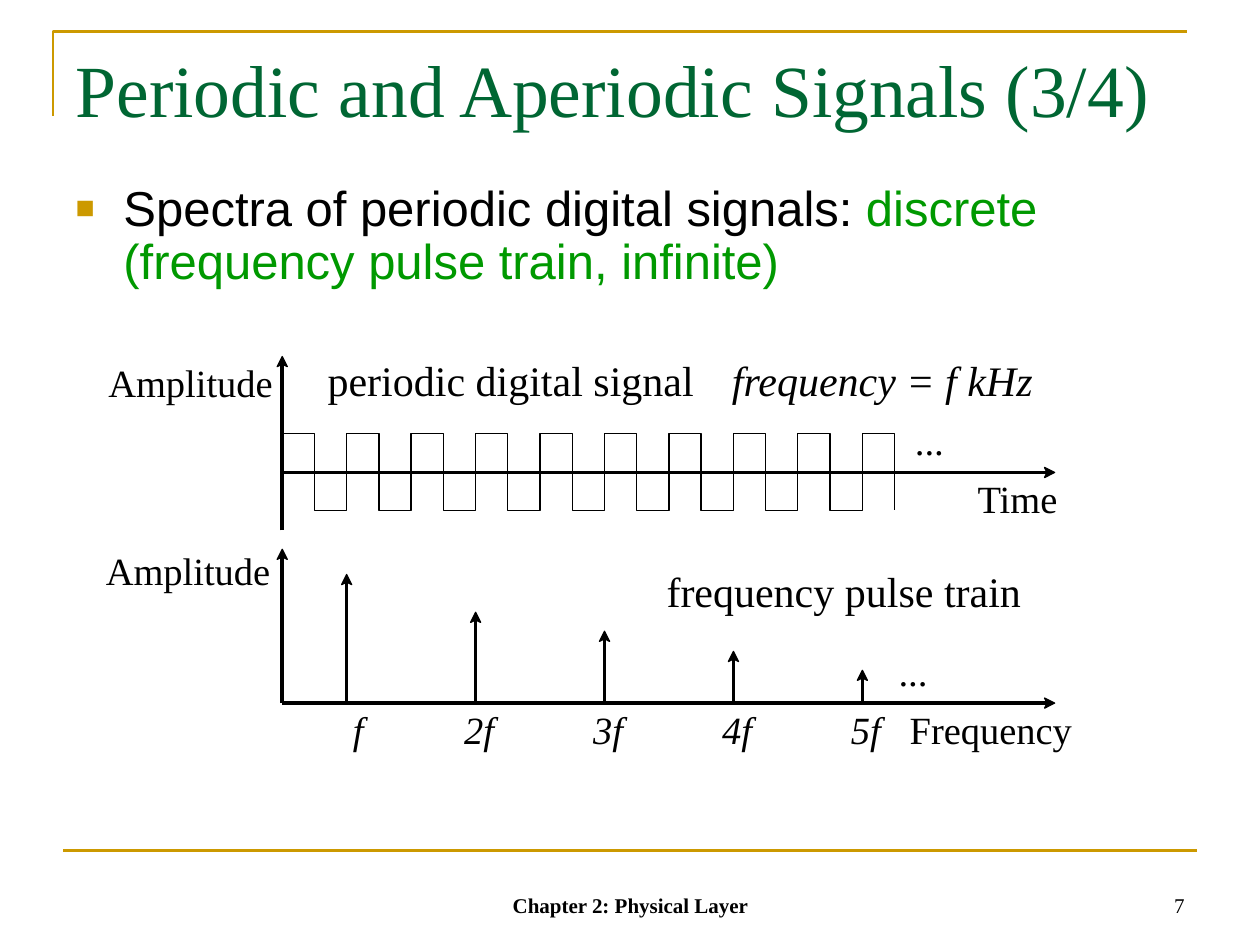
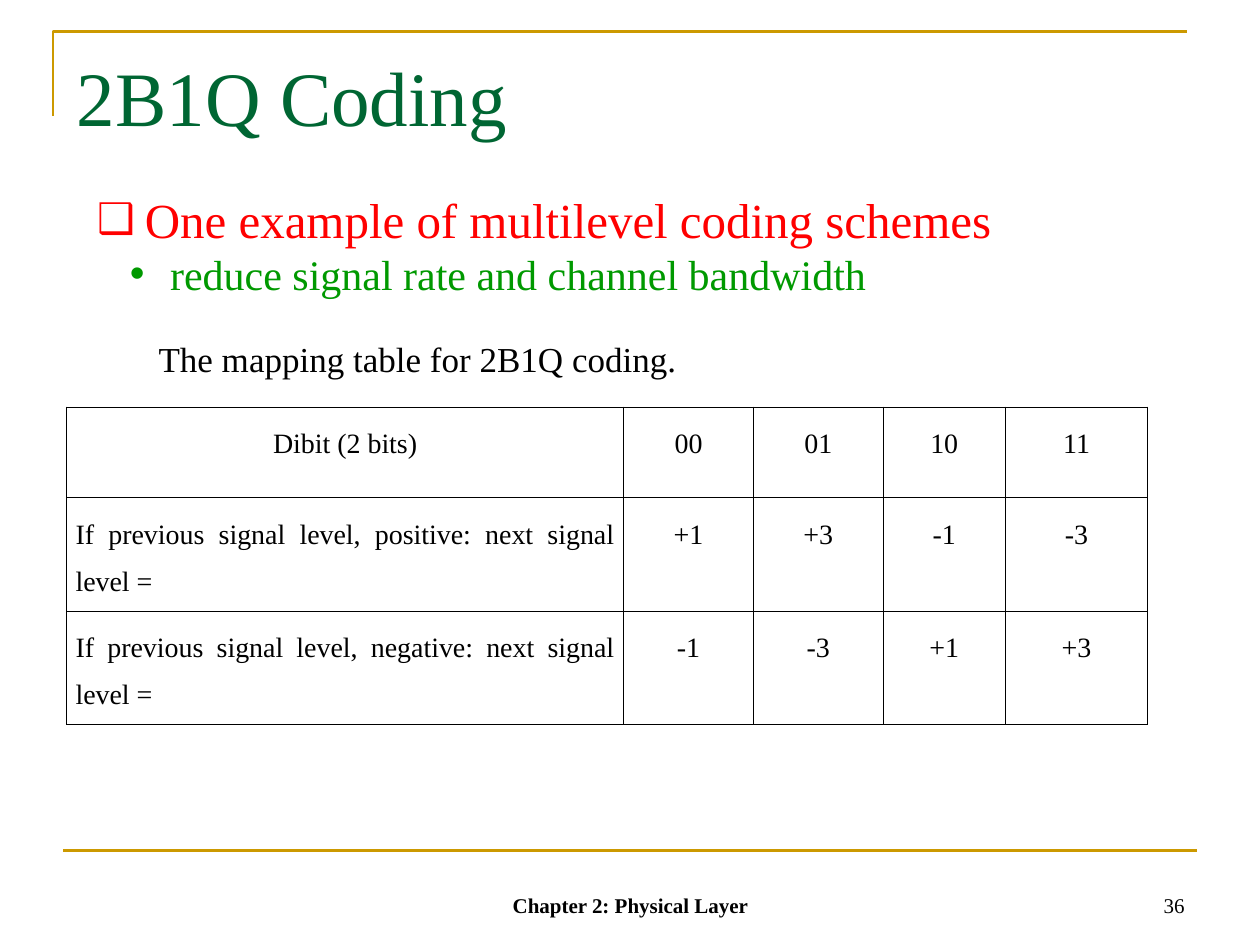
from lxml.etree import SubElement
from math import hypot
from pptx import Presentation
from pptx.dml.color import RGBColor
from pptx.enum.shapes import MSO_CONNECTOR
from pptx.enum.text import MSO_ANCHOR, MSO_AUTO_SIZE, PP_ALIGN
from pptx.oxml import parse_xml
from pptx.oxml.ns import nsdecls, qn
from pptx.util import Inches, Pt

# Shared look
GOLD, DARK_GREEN, GREEN, RED, BLACK = "CC9900", "006633", "009900", "FF0000", "000000"
SERIF, SANS = "Times New Roman", "Arial"
FOOTER = "Chapter 2: Physical Layer"
FRAME_CORNER = [(0.42, 0.92), (0.42, 0.25), (9.42, 0.25)]
BOTTOM_RULE = [(0.5, 6.75), (9.5, 6.75)]
# Arrowhead outline: distance back from the tip, distance to the side
ARROWHEAD = [(0, 0), (0.08, 0.04), (0.06, 0), (0.08, -0.04)]
ARROW_NOTCH = 0.06

# Signals slide: both diagrams share the vertical axis position
AXIS_X, AXIS_END = 2.24, 8.37
TIME_AXIS_Y, FREQUENCY_AXIS_Y = 3.75, 5.58
WAVE_TOP, WAVE_BOTTOM = 3.44, 4.05
WAVE_END, WAVE_EDGES = 7.1, 20
HALF_PERIOD = (WAVE_END - AXIS_X) / (WAVE_EDGES - 1)
PULSE_TIPS = [4.56, 4.86, 5.01, 5.17, 5.32]
AXES = [
    ((AXIS_X, 4.21), (AXIS_X, 2.83)),
    ((AXIS_X, TIME_AXIS_Y), (AXIS_END, TIME_AXIS_Y)),
    ((AXIS_X, FREQUENCY_AXIS_Y), (AXIS_X, 4.36)),
    ((AXIS_X, FREQUENCY_AXIS_Y), (AXIS_END, FREQUENCY_AXIS_Y)),
]
# text, left, top, width, size, italic
DIAGRAM_LABELS = [
    ("Amplitude", 0.86, 2.85, 1.31, 22, False),
    ("periodic digital signal", 2.6, 2.81, 2.91, 24, False),
    ("frequency = f kHz", 5.81, 2.81, 2.4, 24, True),
    ("...", 7.27, 3.31, 0.23, 22, True),
    ("Time", 7.76, 3.77, 0.64, 22, False),
    ("Amplitude", 0.84, 4.34, 1.31, 22, False),
    ("frequency pulse train", 5.29, 4.49, 2.81, 24, False),
    ("...", 7.14, 5.14, 0.23, 22, True),
    ("Frequency", 7.22, 5.6, 1.29, 22, False),
]
SPECTRA_RUNS = [
    ("Spectra of periodic digital signals: ", BLACK),
    ("discrete (frequency pulse train, infinite)", GREEN),
]

# Coding slide
# text, size, colour, bullet, bullet percent, left margin, hanging indent
CODING_POINTS = [
    ("One example of multilevel coding schemes", 28, RED, "❑", 86, 0.38, 0.38),
    ("reduce signal rate and channel bandwidth", 24, GREEN, "•", 100, 0.58, 0.32),
]
MAPPING_ROWS = [
    ["Dibit (2 bits)", "00", "01", "10", "11"],
    ["If previous signal level, positive: next signal level =", "+1", "+3", "-1", "-3"],
    ["If previous signal level, negative: next signal level =", "-1", "-3", "+1", "+3"],
]
COLUMN_WIDTHS = [4.42, 1.03, 1.03, 0.97, 1.13]
ROW_HEIGHTS = [0.72, 0.9, 0.9]


def color(value):
    return RGBColor.from_string(value)


def add_run(paragraph, text, size, hex_color=BLACK, font=SERIF, bold=False, italic=False):
    run = paragraph.add_run()
    run.text = text
    run.font.name, run.font.size = font, Pt(size)
    run.font.bold, run.font.italic = bold, italic
    run.font.color.rgb = color(hex_color)


def set_bullet(paragraph, character, hex_color, percent, left, hanging):
    properties = paragraph._p.get_or_add_pPr()
    properties.set("marL", str(Inches(left)))
    properties.set("indent", str(-Inches(hanging)))
    bullet_color = SubElement(properties, qn("a:buClr"))
    SubElement(bullet_color, qn("a:srgbClr")).set("val", hex_color)
    SubElement(properties, qn("a:buSzPct")).set("val", str(percent * 1000))
    SubElement(properties, qn("a:buChar")).set("char", character)


def place(shape, left, top, width, height, anchor):
    shape.left, shape.top = Inches(left), Inches(top)
    shape.width, shape.height = Inches(width), Inches(height)
    frame = shape.text_frame
    frame.word_wrap = True
    frame.auto_size = MSO_AUTO_SIZE.NONE
    frame.vertical_anchor = anchor
    return frame


def add_text(slide, text, left, top, width, height, size, align=PP_ALIGN.LEFT,
             anchor=MSO_ANCHOR.TOP, bold=False, italic=False, label=False):
    box = slide.shapes.add_textbox(0, 0, 0, 0)
    frame = place(box, left, top, width, height, anchor)
    if label:
        frame.word_wrap = False
        frame.margin_left = frame.margin_right = frame.margin_top = frame.margin_bottom = 0
    paragraph = frame.paragraphs[0]
    paragraph.alignment = align
    add_run(paragraph, text, size, bold=bold, italic=italic)


def add_line(slide, start, end, hex_color=BLACK, width=0.0):
    points = [Inches(value) for value in (*start, *end)]
    line = slide.shapes.add_connector(MSO_CONNECTOR.STRAIGHT, *points)
    line.line.color.rgb = color(hex_color)
    line.line.width = Pt(width)
    SubElement(line._element.spPr, qn("a:effectLst"))


def add_outline(slide, points, hex_color=BLACK, width=0.0, filled=False):
    vertices = [(Inches(x), Inches(y)) for x, y in points]
    builder = slide.shapes.build_freeform(*vertices[0])
    builder.add_line_segments(vertices[1:], close=filled)
    shape = builder.convert_to_shape()
    shape.shadow.inherit = False
    if filled:
        shape.fill.solid()
        shape.fill.fore_color.rgb = color(hex_color)
    else:
        shape.fill.background()
    shape.line.color.rgb = color(hex_color)
    shape.line.width = Pt(width)


def add_arrow(slide, start, tip):
    """Draw a thin line that ends in the notch of a filled head."""
    run, rise = tip[0] - start[0], tip[1] - start[1]
    length = hypot(run, rise)
    along_x, along_y = run / length, rise / length
    notch = (tip[0] - ARROW_NOTCH * along_x, tip[1] - ARROW_NOTCH * along_y)
    head = [(tip[0] - back * along_x - side * along_y,
             tip[1] - back * along_y + side * along_x) for back, side in ARROWHEAD]
    add_line(slide, start, notch)
    add_outline(slide, head, filled=True)


def add_slide(presentation, title, size, number, title_box, anchor):
    """Start a slide with frame lines, title and footer."""
    slide = presentation.slides.add_slide(presentation.slide_layouts[1])
    add_outline(slide, FRAME_CORNER, GOLD, 1.5)
    add_line(slide, *BOTTOM_RULE, GOLD, 1.5)
    paragraph = place(slide.shapes.title, *title_box, anchor).paragraphs[0]
    paragraph.alignment = PP_ALIGN.LEFT
    add_run(paragraph, title, size, DARK_GREEN)
    add_text(slide, FOOTER, 3.42, 6.83, 3.17, 0.5, 12, PP_ALIGN.CENTER,
             MSO_ANCHOR.BOTTOM, bold=True)
    add_text(slide, number, 7.17, 6.83, 2.33, 0.5, 12, PP_ALIGN.RIGHT, MSO_ANCHOR.BOTTOM)
    return slide


def build_signals_slide(presentation):
    slide = add_slide(presentation, "Periodic and Aperiodic Signals (3/4)", 42, "7",
                      (0.5, 0.3, 9, 1.25), MSO_ANCHOR.TOP)
    frame = place(slide.placeholders[1], 0.5, 1.41, 9, 5.29, MSO_ANCHOR.TOP)
    paragraph = frame.paragraphs[0]
    set_bullet(paragraph, "■", GOLD, 65, 0.38, 0.38)
    paragraph.line_spacing, paragraph.space_before = 0.9, Pt(0)
    for text, hex_color in SPECTRA_RUNS:
        add_run(paragraph, text, 28, hex_color, SANS)

    # Axes and square wave
    for start, tip in AXES:
        add_arrow(slide, start, tip)
    wave = []
    for edge in range(WAVE_EDGES):
        x = AXIS_X + edge * HALF_PERIOD
        levels = (WAVE_TOP, WAVE_BOTTOM) if edge % 2 else (WAVE_BOTTOM, WAVE_TOP)
        wave += [(x, level) for level in levels]
    add_outline(slide, wave)

    # Pulses stand two periods apart, starting one period from the axis
    for index, tip in enumerate(PULSE_TIPS):
        x = AXIS_X + (2 + 4 * index) * HALF_PERIOD
        add_arrow(slide, (x, FREQUENCY_AXIS_Y), (x, tip))
        text, offset, width = (f"{index + 1}f", -0.09, 0.24) if index else ("f", 0.05, 0.09)
        add_text(slide, text, x + offset, 5.6, width, 0.37, 22, italic=True, label=True)
    for text, left, top, width, size, italic in DIAGRAM_LABELS:
        add_text(slide, text, left, top, width, size / 60, size, italic=italic, label=True)


def add_borders(cell):
    properties = cell._tc.get_or_add_tcPr()
    for position, side in enumerate(("lnL", "lnR", "lnT", "lnB")):
        properties.insert(position, parse_xml(
            f'<a:{side} {nsdecls("a")} w="{Pt(0.45)}"><a:solidFill>'
            f'<a:srgbClr val="{BLACK}"/></a:solidFill></a:{side}>'))


def build_coding_slide(presentation):
    slide = add_slide(presentation, "2B1Q Coding", 44, "36",
                      (0.51, 0, 9, 1.52), MSO_ANCHOR.MIDDLE)
    frame = place(slide.placeholders[1], 0.67, 1.45, 9.15, 0.97, MSO_ANCHOR.MIDDLE)
    for index, (text, size, hex_color, *bullet) in enumerate(CODING_POINTS):
        paragraph = frame.add_paragraph() if index else frame.paragraphs[0]
        paragraph.level = index
        character, percent, left, hanging = bullet
        set_bullet(paragraph, character, hex_color, percent, left, hanging)
        paragraph.space_before = Pt(0)
        add_run(paragraph, text, size, hex_color)
    add_text(slide, "The mapping table for 2B1Q coding.", 1.16, 2.63, 7.19, 0.44, 20)

    # Mapping table
    table = slide.shapes.add_table(
        len(MAPPING_ROWS), len(COLUMN_WIDTHS), Inches(0.53), Inches(3.23),
        Inches(sum(COLUMN_WIDTHS)), Inches(sum(ROW_HEIGHTS))).table
    table.first_row = table.horz_banding = False
    for column, width in zip(table.columns, COLUMN_WIDTHS):
        column.width = Inches(width)
    for row, height, texts in zip(table.rows, ROW_HEIGHTS, MAPPING_ROWS):
        row.height = Inches(height)
        for cell, text in zip(row.cells, texts):
            cell.fill.background()
            add_borders(cell)
            cell.margin_left = cell.margin_right = Inches(0.07)
            cell.margin_top = cell.margin_bottom = Inches(0.05)
            paragraph = cell.text_frame.paragraphs[0]
            is_condition = text.startswith("If")
            paragraph.alignment = PP_ALIGN.JUSTIFY if is_condition else PP_ALIGN.CENTER
            paragraph.line_spacing = 1.5
            add_run(paragraph, text, 16)


def main():
    presentation = Presentation()
    presentation.slide_width, presentation.slide_height = Inches(10), Inches(7.5)
    build_signals_slide(presentation)
    build_coding_slide(presentation)
    presentation.save("out.pptx")


if __name__ == "__main__":
    main()
